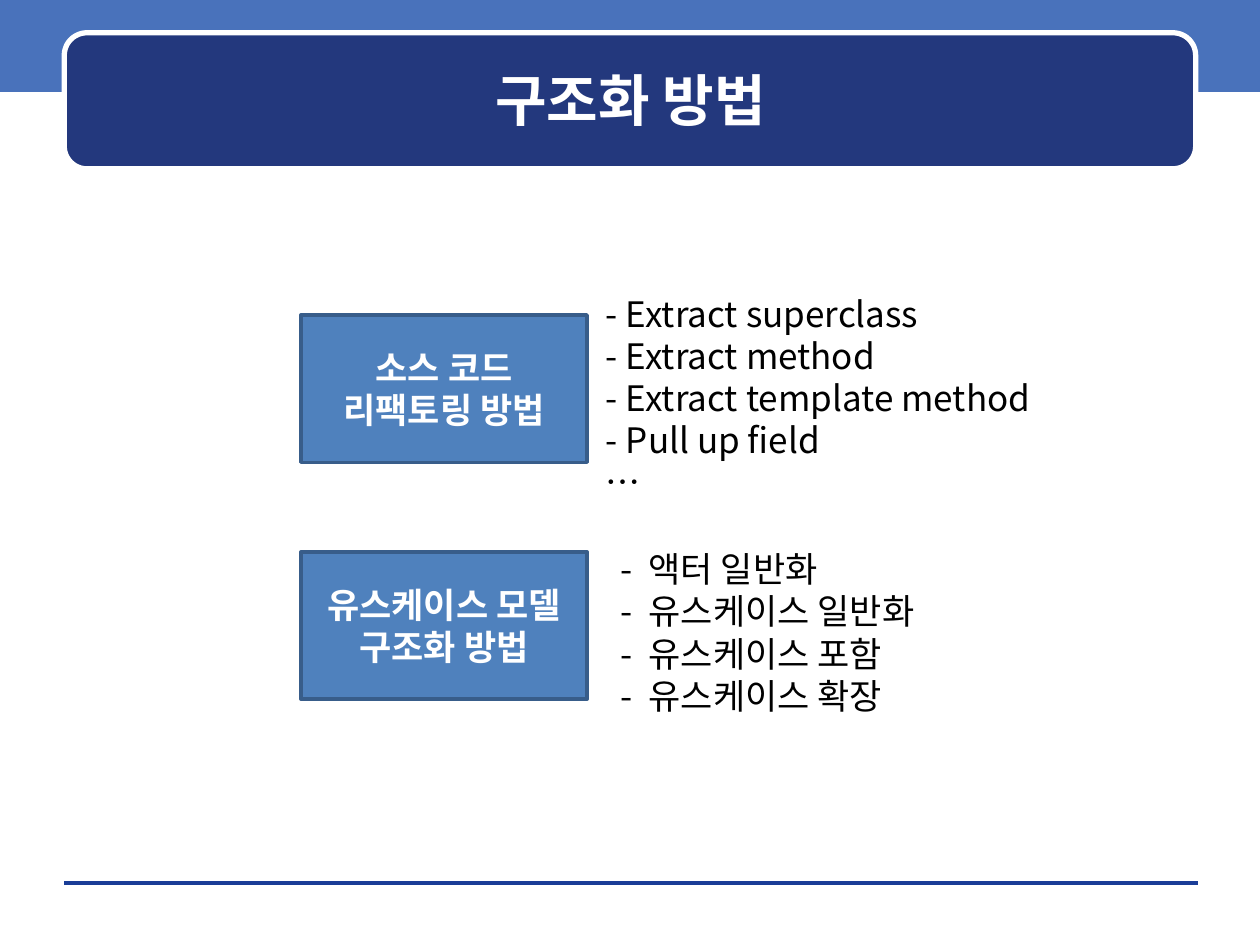
from pptx import Presentation
from pptx.dml.color import RGBColor
from pptx.enum.shapes import MSO_CONNECTOR, MSO_SHAPE
from pptx.enum.text import MSO_ANCHOR, PP_ALIGN
from pptx.oxml.ns import qn
from pptx.util import Inches, Pt
from lxml.etree import SubElement

TITLE = "구조화 방법"
GROUPS = [
    {
        "name": ["소스 코드", "리팩토링 방법"],
        "items": ["- Extract superclass", "- Extract method",
                  "- Extract template method", "- Pull up field", "…"],
        "at": (4.71, 2.27, 3.62, 1.77),
    },
    {
        "name": ["유스케이스 모델", "구조화 방법"],
        "items": ["-\t액터 일반화", "-\t유스케이스 일반화",
                  "-\t유스케이스 포함", "-\t유스케이스 확장"],
        "at": (4.83, 4.3, 2.6, 1.44),
    },
]
FACE = "Noto Sans CJK KR"
WIDE, HIGH = 10, 7.5
EDGE = 0.51
LEFT, TOP, STEP = 2.39, 2.5, 1.88
BOX = (2.27, 1.17)
TAB = 0.22
HEAD = {"size": Pt(32), "bold": True}
NAME = {"size": Pt(20), "bold": True}
ITEM = {"size": Pt(20), "bold": False}


def tint(code):
    return RGBColor.from_string(code)


def place(at):
    return [Inches(n) for n in at]


def block(kind, at, fill, line=None, width=0):
    shape = slide.shapes.add_shape(kind, *place(at))
    shape.shadow.inherit = False
    shape.fill.solid()
    shape.fill.fore_color.rgb = tint(fill)
    if line:
        shape.line.color.rgb = tint(line)
        shape.line.width = Pt(width)
    else:
        shape.line.fill.background()
    return shape


def write(shape, lines, form, color, align, anchor, lead=None):
    frame = shape.text_frame
    frame.word_wrap = True
    frame.vertical_anchor = anchor
    for i, line in enumerate(lines):
        para = frame.paragraphs[0] if i == 0 else frame.add_paragraph()
        para.alignment = align
        para.line_spacing = lead
        if "\t" in line:
            stops = SubElement(para._p.get_or_add_pPr(), qn("a:tabLst"))
            SubElement(stops, qn("a:tab"), pos=str(Inches(TAB)), algn="l")
        run = para.add_run()
        run.text = line
        for key, value in form.items():
            setattr(run.font, key, value)
        run.font.color.rgb = tint(color)
        run.font.name = FACE
        SubElement(run._r.get_or_add_rPr(), qn("a:ea"), typeface=FACE)


deck = Presentation()
deck.slide_width, deck.slide_height = place((WIDE, HIGH))
slide = deck.slides.add_slide(deck.slide_layouts[5])

block(MSO_SHAPE.RECTANGLE, (0, -0.03, WIDE, 0.76), "4972BB")
rule = slide.shapes.add_connector(
    MSO_CONNECTOR.STRAIGHT, *place((EDGE, 7.01, WIDE - EDGE + 0.02, 7.01)))
rule.line.color.rgb = tint("1A3D97")
rule.line.width = Pt(0)
SubElement(rule._element.spPr, qn("a:effectLst"))
block(MSO_SHAPE.ROUNDED_RECTANGLE,
      (EDGE, 0.26, WIDE - 2 * EDGE, 1.08), "23387D", "FFFFFF", 3)

title = slide.shapes.title
slide.shapes._spTree.append(title._element)
title.left, title.top, title.width, title.height = place((0.6, 0.35, 8.81, 0.88))
write(title, [TITLE], HEAD, "FFFFFF", PP_ALIGN.CENTER, MSO_ANCHOR.MIDDLE)

for row, group in enumerate(GROUPS):
    box = block(MSO_SHAPE.RECTANGLE, (LEFT, TOP + row * STEP, *BOX),
                "4F81BD", "385D8A", 2)
    write(box, group["name"], NAME, "FFFFFF",
          PP_ALIGN.CENTER, MSO_ANCHOR.MIDDLE, Pt(24))
    text = slide.shapes.add_textbox(*place(group["at"]))
    write(text, group["items"], ITEM, "000000",
          PP_ALIGN.LEFT, MSO_ANCHOR.TOP, Pt(24))

deck.save("out.pptx")
